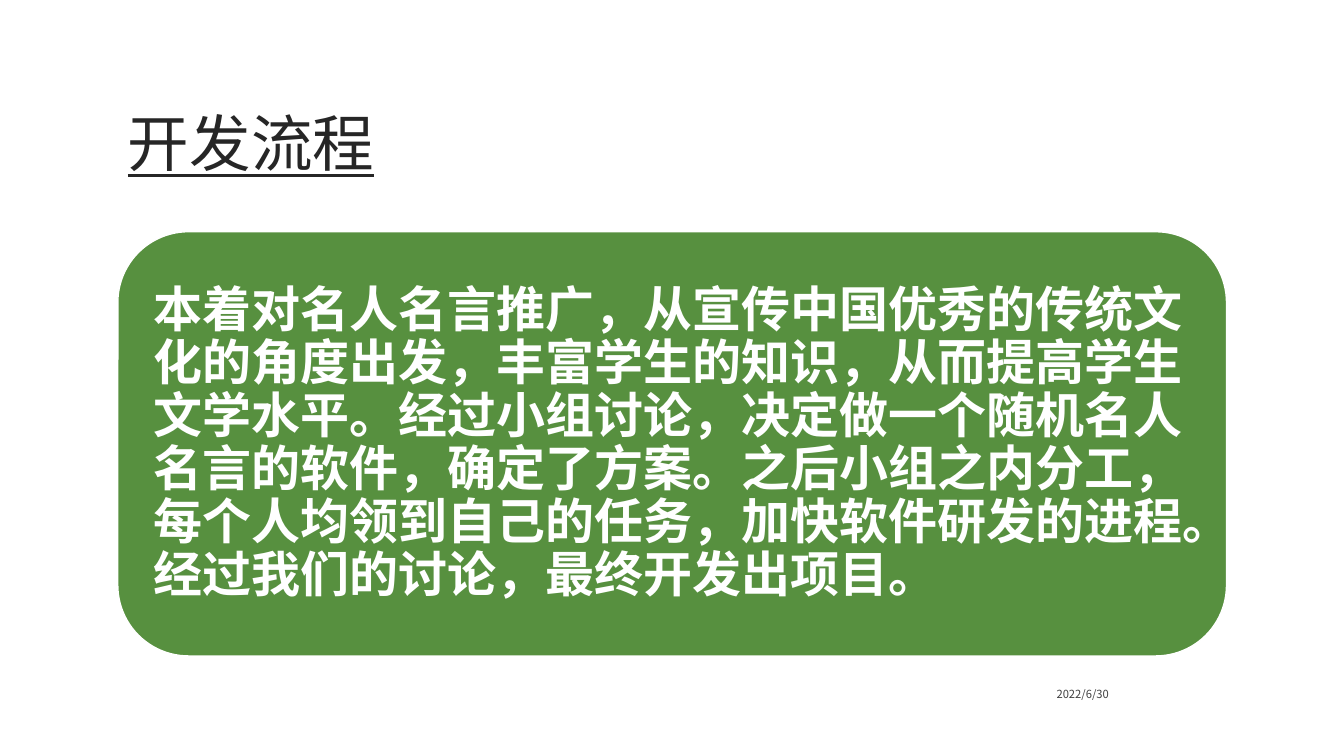
from dataclasses import dataclass

from lxml.etree import SubElement
from pptx import Presentation
from pptx.dml.color import RGBColor
from pptx.enum.shapes import MSO_SHAPE as Preset
from pptx.enum.text import MSO_ANCHOR as Anchor, PP_ALIGN as Align
from pptx.oxml.ns import qn
from pptx.util import Cm, Pt


@dataclass(frozen=True)
class Theme:
    """Colours, fonts and type sizes of the slide."""
    white: str = "FFFFFF"
    green: str = "57903F"
    title_ink: str = "262626"
    date_ink: str = "404040"
    text_font: str = "Noto Sans CJK SC"
    panel_font: str = "Quicksand"
    title_size: int = 44
    panel_size: int = 35
    date_size: int = 8


THEME = Theme()
PROCESS_TEXT = (
    "本着对名人名言推广，从宣传中国优秀的传统文化的角度出发，丰富学生的知识，"
    "从而提高学生文学水平。经过小组讨论，决定做一个随机名人名言的软件，确定了方案。"
    "之后小组之内分工，每个人均领到自己的任务，加快软件研发的进程。"
    "经过我们的讨论，最终开发出项目。"
)


def write_text(shape, text, *, size, color, font=THEME.text_font, bold=False,
               underline=False, align=Align.LEFT, anchor=Anchor.MIDDLE,
               spacing=1.0, inset=None):
    """Write one formatted paragraph into a shape."""
    frame = shape.text_frame
    frame.word_wrap = True
    frame.vertical_anchor = anchor
    if inset is not None:
        frame.margin_left = frame.margin_right = inset
        frame.margin_top = frame.margin_bottom = inset
    para = frame.paragraphs[0]
    para.alignment = align
    para.line_spacing = spacing
    span = para.add_run()
    span.text = text
    span.font.name = font
    span.font.size = Pt(size)
    span.font.bold = bold
    span.font.underline = underline
    span.font.color.rgb = RGBColor.from_string(color)
    SubElement(span.font._element, qn("a:ea")).set("typeface", font)


def place_title(page, box, text):
    """Move the title placeholder to the box and fill it."""
    title = page.shapes.title
    title.left, title.top, title.width, title.height = box
    write_text(title, text, size=THEME.title_size, color=THEME.title_ink,
               underline=True, spacing=0.9)


def add_panel(page, box, text):
    """Add the rounded green panel with its text."""
    panel = page.shapes.add_shape(Preset.ROUNDED_RECTANGLE, *box)
    panel.shadow.inherit = False
    panel.fill.solid()
    panel.fill.fore_color.rgb = RGBColor.from_string(THEME.green)
    panel.line.color.rgb = RGBColor.from_string(THEME.white)
    panel.line.width = Pt(1)
    write_text(panel, text, size=THEME.panel_size, color=THEME.white,
               font=THEME.panel_font, bold=True, spacing=0.9, inset=Cm(0.38))


def add_date(page, box, text):
    """Add the right-aligned date."""
    write_text(page.shapes.add_textbox(*box), text, size=THEME.date_size,
               color=THEME.date_ink, align=Align.RIGHT, anchor=Anchor.BOTTOM)


def build_process_page(deck):
    """Build the development process slide."""
    page = deck.slides.add_slide(deck.slide_layouts.get_by_name("Title Only"))
    left, width = Cm(2.97), Cm(27.94)
    place_title(page, (left, Cm(1.78), width, Cm(3.81)), "开发流程")
    add_panel(page, (left, Cm(5.84), width, Cm(10.69)), PROCESS_TEXT)
    add_date(page, (Cm(20.17), Cm(16.76), Cm(8.03), Cm(1.02)), "2022/6/30")


def main():
    """Create and save the deck."""
    deck = Presentation()
    deck.slide_width, deck.slide_height = Cm(33.87), Cm(19.05)
    build_process_page(deck)
    deck.save("out.pptx")


if __name__ == "__main__":
    main()
